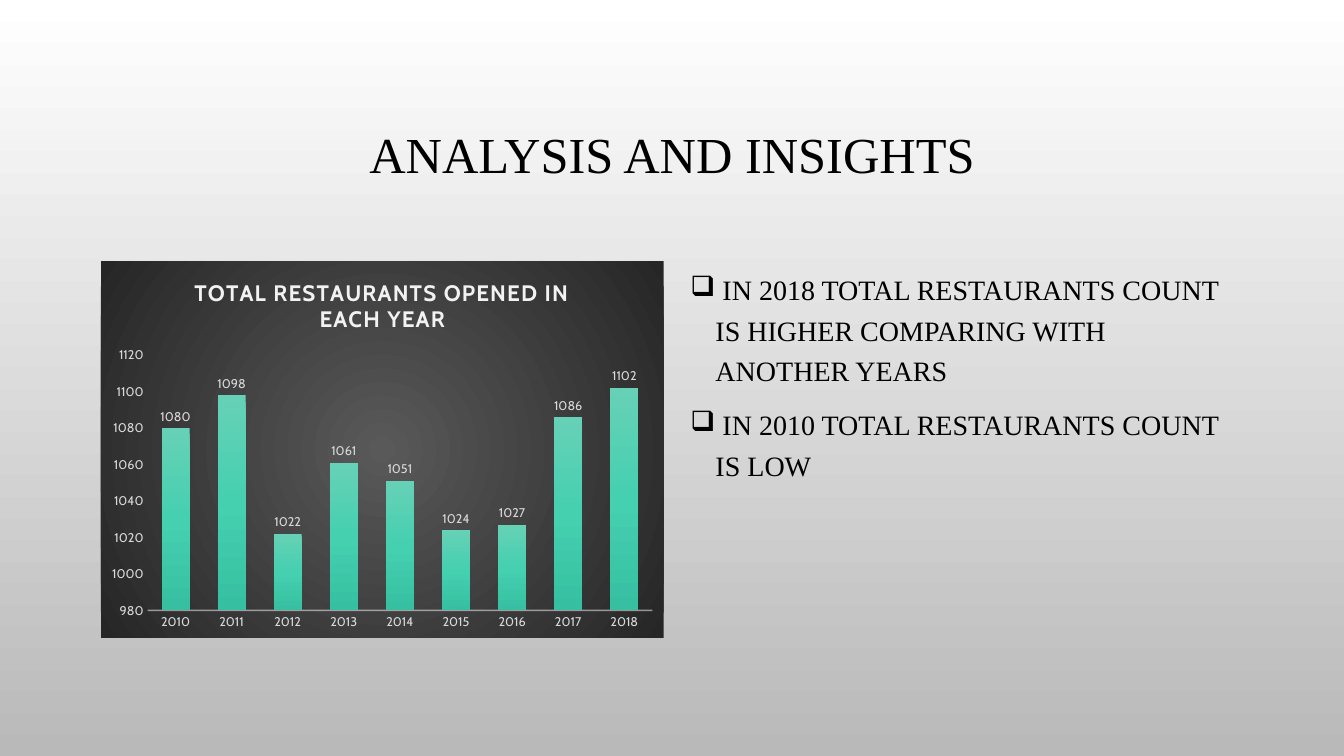
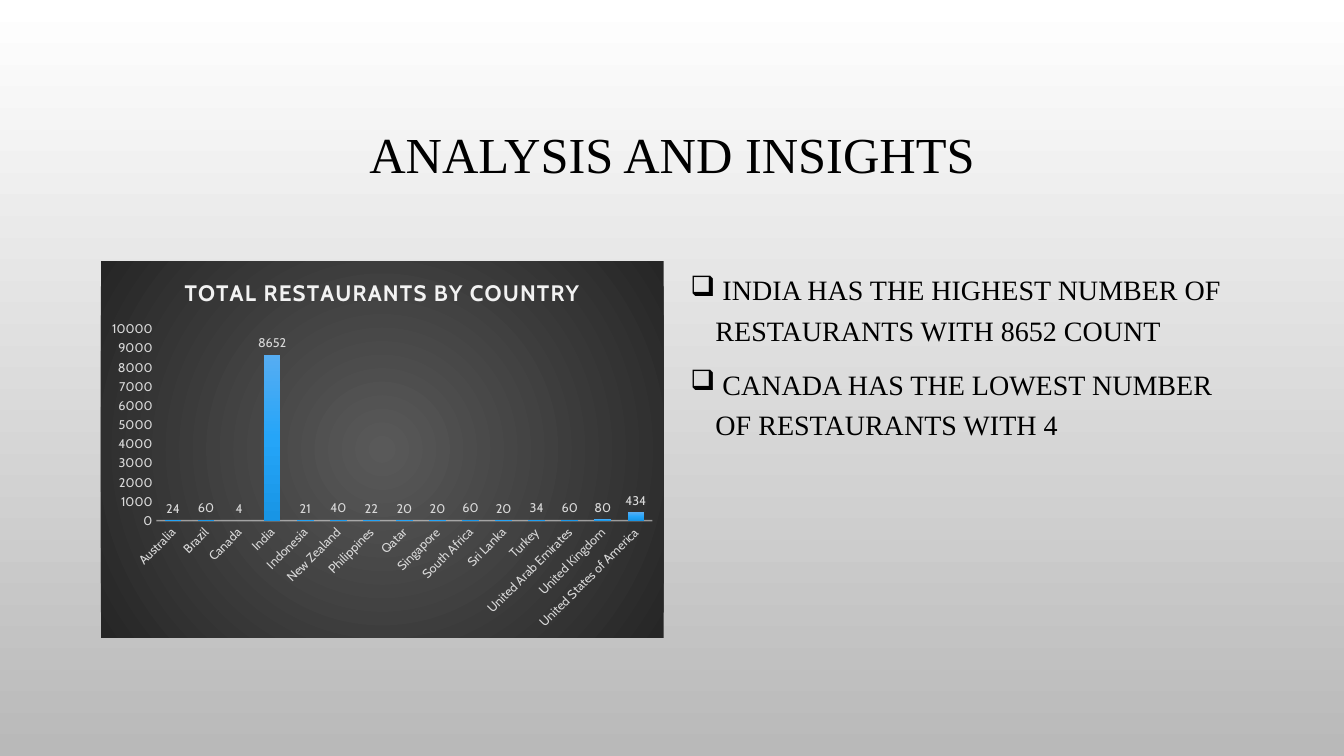
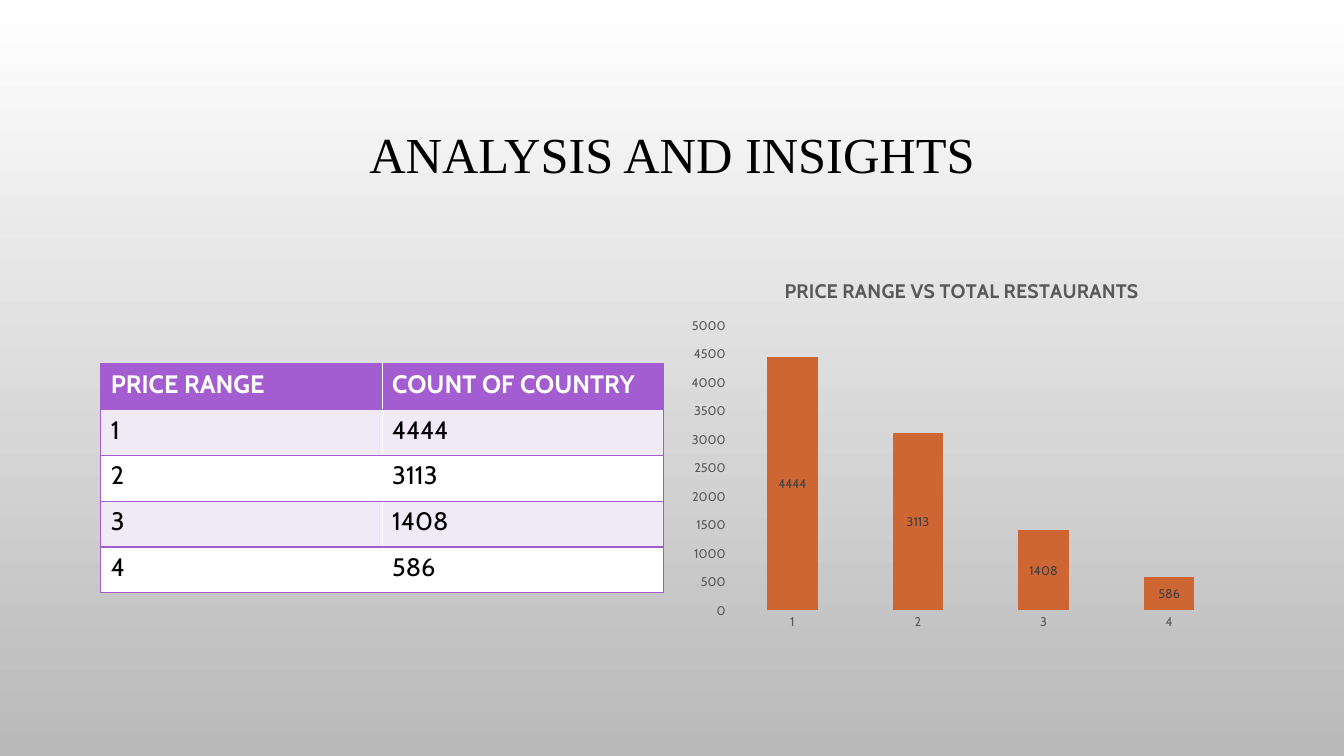
from lxml.etree import SubElement
from pptx import Presentation
from pptx.chart.data import CategoryChartData
from pptx.dml.color import RGBColor
from pptx.enum.chart import XL_CHART_TYPE as ChartType
from pptx.enum.chart import XL_LABEL_POSITION as LabelPosition
from pptx.enum.chart import XL_TICK_MARK as TickMark
from pptx.enum.text import MSO_ANCHOR, PP_ALIGN
from pptx.oxml import parse_xml
from pptx.oxml.ns import nsdecls, qn
from pptx.util import Pt

# Shared look
TITLE_FONT, CHART_FONT = "Times New Roman", "Cabin"
PURPLE = "A35DD1"
LEFT, RIGHT, TOP = Pt(72), Pt(486), Pt(186.5)
WIDTH, HEIGHT = Pt(402), Pt(269)
TITLE_BOX = Pt(72), Pt(49), Pt(816), Pt(126)


def color(hex_string):
    return RGBColor.from_string(hex_string)


def gradient_xml(stops, shade):
    """Gradient fill from (percent, colour) stops and a shading element."""
    stop_xml = "".join(
        f'<a:gs pos="{percent * 1000}"><a:srgbClr val="{value}"/></a:gs>'
        for percent, value in stops)
    return f'<a:gradFill {nsdecls("a")}><a:gsLst>{stop_xml}</a:gsLst>{shade}</a:gradFill>'


DOWNWARD = '<a:lin ang="5400000" scaled="0"/>'
FROM_CENTER = ('<a:path path="circle"><a:fillToRect l="50000" t="50000" '
               'r="50000" b="50000"/></a:path>')
DARK_FILL = gradient_xml([(0, "595959"), (100, "262626")], FROM_CENTER)
NO_FILL = f'<a:noFill {nsdecls("a")}/>'

slide_data = [
    {"chart": "TOTAL RESTAURANTS OPENED IN EACH YEAR",
     "values": {"2010": 1080, "2011": 1098, "2012": 1022, "2013": 1061, "2014": 1051,
                "2015": 1024, "2016": 1027, "2017": 1086, "2018": 1102},
     "scale": (980, 1120, 20),
     "columns": ["66D1B6", "45D0B0", "36C0A1"],
     "insights": [" IN 2018 TOTAL RESTAURANTS COUNT IS HIGHER COMPARING WITH ANOTHER YEARS",
                  " IN 2010 TOTAL RESTAURANTS COUNT IS LOW"]},
    {"chart": "TOTAL RESTAURANTS BY COUNTRY",
     "values": {"Australia": 24, "Brazil": 60, "Canada": 4, "India": 8652, "Indonesia": 21,
                "New Zealand": 40, "Philippines": 22, "Qatar": 20, "Singapore": 20,
                "South Africa": 60, "Sri Lanka": 20, "Turkey": 34,
                "United Arab Emirates": 60, "United Kingdom": 80,
                "United States of America": 434},
     "scale": (0, 10000, 1000),
     "columns": ["56ADF2", "25A5F8", "1895E5"],
     "insights": [" INDIA HAS THE HIGHEST NUMBER OF RESTAURANTS WITH 8652 COUNT",
                  " CANADA HAS THE LOWEST NUMBER OF RESTAURANTS WITH 4"]},
    {"chart": "PRICE RANGE VS TOTAL RESTAURANTS",
     "values": {"1": 4444, "2": 3113, "3": 1408, "4": 586},
     "scale": (0, 5000, 500),
     "header": ("PRICE RANGE", "COUNT OF COUNTRY")},
]

presentation = Presentation()
presentation.slide_width, presentation.slide_height = Pt(960), Pt(540)

# Grey background on the master
background = presentation.slide_master.background.fill
background.gradient()
background.gradient_angle = 270
for stop, value in zip(background.gradient_stops, ("FFFFFF", "B9B9B9")):
    stop.color.rgb = color(value)

for data in slide_data:
    slide = presentation.slides.add_slide(presentation.slide_layouts[5])
    dark = "insights" in data

    # Title
    title = slide.shapes.title
    title.left, title.top, title.width, title.height = TITLE_BOX
    title.text_frame.text = "ANALYSIS AND INSIGHTS"
    title.text_frame.vertical_anchor = MSO_ANCHOR.MIDDLE
    paragraph = title.text_frame.paragraphs[0]
    paragraph.alignment = PP_ALIGN.CENTER
    paragraph.line_spacing = 0.9
    paragraph.font.name, paragraph.font.size = TITLE_FONT, Pt(36)
    paragraph.font.color.rgb = color("000000")

    # Column chart
    chart_data = CategoryChartData()
    chart_data.categories = list(data["values"])
    chart_data.add_series("Series 1", list(data["values"].values()))
    chart = slide.shapes.add_chart(
        ChartType.COLUMN_CLUSTERED if dark else ChartType.COLUMN_STACKED,
        LEFT if dark else RIGHT, TOP, WIDTH, HEIGHT, chart_data).chart
    chart.has_legend = False
    chart.font.name, chart.font.size = CHART_FONT, Pt(10)

    # Chart title
    chart.chart_title.text_frame.text = data["chart"]
    run = chart.chart_title.text_frame.paragraphs[0].runs[0]
    run.font.name, run.font.bold = CHART_FONT, True
    run.font.size = Pt(16 if dark else 14)
    run.font.color.rgb = color("F2F2F2" if dark else "595959")
    if dark:
        run.font._element.set("spc", "100")

    # Chart and plot backgrounds
    area_xml = (f'<c:spPr {nsdecls("c", "a")}>{DARK_FILL if dark else NO_FILL}'
                '<a:ln><a:noFill/></a:ln></c:spPr>')
    plot_xml = f'<c:spPr {nsdecls("c", "a")}>{NO_FILL}</c:spPr>'
    chart_space = chart._chartSpace
    chart_space.find(qn("c:txPr")).addprevious(parse_xml(area_xml))
    chart_space.chart.plotArea.append(parse_xml(plot_xml))

    # Axes
    for axis in (chart.category_axis, chart.value_axis):
        axis.has_major_gridlines = False
        axis.major_tick_mark = axis.minor_tick_mark = TickMark.NONE
        axis.format.line.fill.background()
        font = axis.tick_labels.font
        font.name, font.size = CHART_FONT, Pt(9)
        font.color.rgb = color("D9D9D9" if dark else "595959")
        text_body = axis._element.xpath("c:txPr/a:bodyPr")[0]
        text_body.set("rot", "-60000000")
        text_body.set("vert", "horz")
    value_axis = chart.value_axis
    value_axis.minimum_scale, value_axis.maximum_scale, value_axis.major_unit = data["scale"]
    if dark:
        line = chart.category_axis.format.line
        line.width = Pt(1)
        line.color.rgb = color("F2F2F2")
        line_color = chart.category_axis._element.xpath("c:spPr/a:ln//a:srgbClr")[0]
        SubElement(line_color, qn("a:alpha")).set("val", "54000")

    # Columns and their labels
    plot = chart.plots[0]
    plot.vary_by_categories = False
    plot.gap_width, plot.overlap = (100, -24) if dark else (150, 100)
    series = plot.series[0]
    if dark:
        column_fill = gradient_xml(zip((0, 50, 100), data["columns"]), DOWNWARD)
        series._element.get_or_add_spPr().insert(0, parse_xml(column_fill))
    else:
        series.format.fill.solid()
        series.format.fill.fore_color.rgb = color("CE6633")
    labels = series.data_labels
    labels.show_value = True
    labels.position = LabelPosition.OUTSIDE_END if dark else LabelPosition.CENTER
    labels.font.name, labels.font.size = CHART_FONT, Pt(9)
    labels.font.color.rgb = color("D9D9D9" if dark else "404040")

    # Insights beside a dark chart
    if dark:
        text_frame = slide.shapes.add_textbox(RIGHT, TOP, WIDTH, HEIGHT).text_frame
        text_frame.word_wrap = True
        text_frame.text = "\n".join(data["insights"])
        for paragraph in text_frame.paragraphs:
            paragraph.line_spacing = 1.2
            paragraph.space_before = Pt(10)
            properties = paragraph._p.get_or_add_pPr()
            properties.set("marL", str(Pt(18)))
            properties.set("indent", str(-Pt(18)))
            bullet_color = SubElement(properties, qn("a:buClr"))
            SubElement(bullet_color, qn("a:srgbClr")).set("val", "000000")
            SubElement(properties, qn("a:buChar")).set("char", "❑")
            paragraph.font.name, paragraph.font.size = TITLE_FONT, Pt(20)
            paragraph.font.color.rgb = color("000000")
        continue

    # Table beside the plain chart
    rows = [data["header"], *data["values"].items()]
    table = slide.shapes.add_table(len(rows), 2, LEFT, Pt(260), WIDTH, Pt(163.5)).table
    for row_index, row in enumerate(rows):
        is_header = row_index == 0
        row_fill = PURPLE if is_header else ("FFFFFF", "F0EAF7")[row_index % 2]
        for column_index, value in enumerate(row):
            cell = table.cell(row_index, column_index)
            cell.text = str(value)
            paragraph = cell.text_frame.paragraphs[0]
            paragraph.font.name, paragraph.font.size = CHART_FONT, Pt(18)
            paragraph.font.bold = is_header
            paragraph.font.color.rgb = color("FFFFFF" if is_header else "000000")
            outer_side = ("a:lnL", "a:lnR")[column_index]
            cell_properties = cell._tc.get_or_add_tcPr()
            for side in (outer_side, "a:lnT", "a:lnB"):
                border = SubElement(cell_properties, qn(side), w=str(Pt(1)))
                border_fill = SubElement(border, qn("a:solidFill"))
                SubElement(border_fill, qn("a:srgbClr")).set("val", PURPLE)
            cell.fill.solid()
            cell.fill.fore_color.rgb = color(row_fill)

presentation.save("out.pptx")
